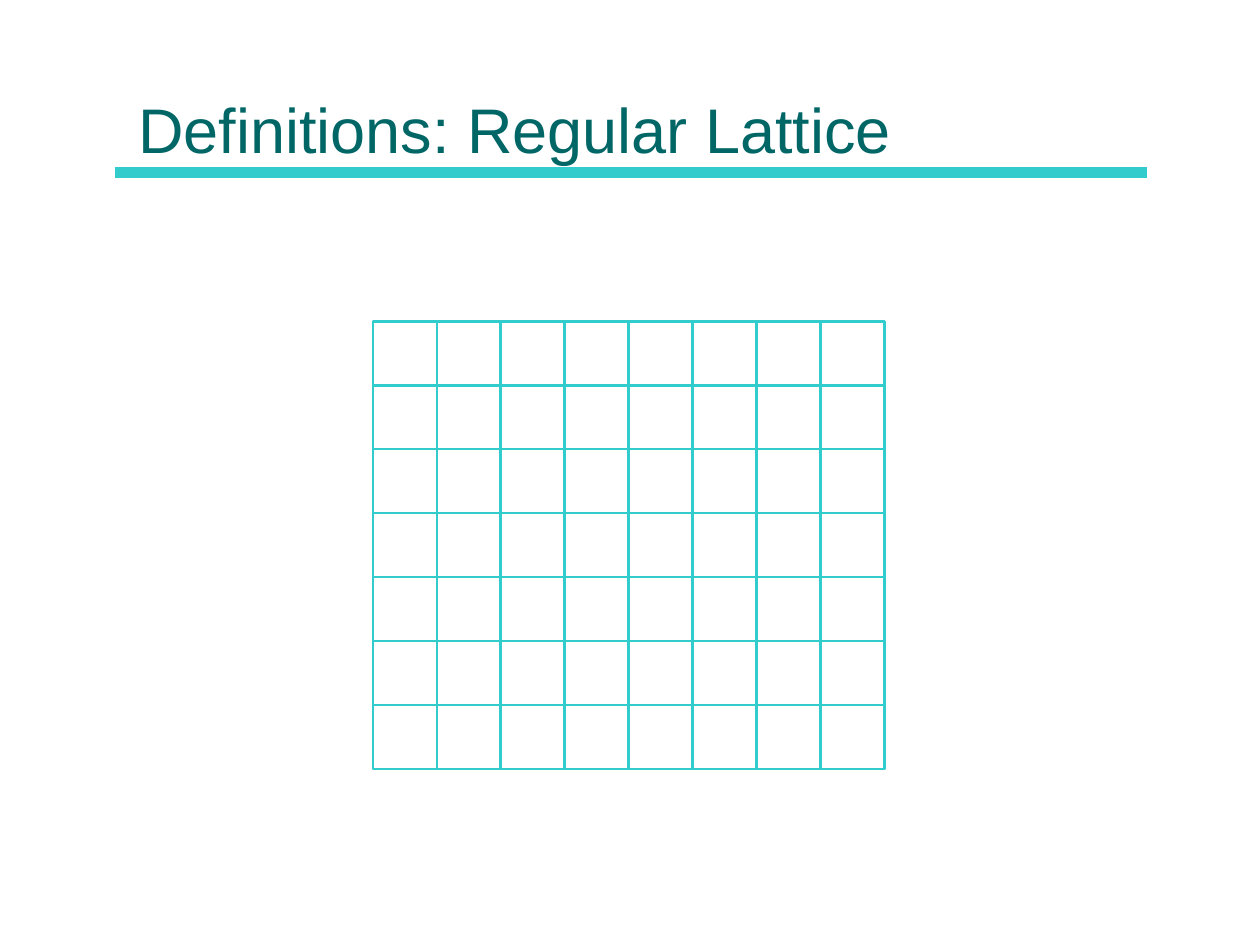
"""Build the slide that shows a regular lattice under its title."""
import itertools

import pptx
import pptx.dml.color
import pptx.enum.shapes
import pptx.enum.text
import pptx.oxml.ns
import pptx.util
from lxml import etree

TITLE = "Definitions: Regular Lattice"
FONT = "Arial"
COLORS = {"title": "006666", "lattice": "33CCCC", "background": "FFFFFF"}
WIDTH, HEIGHT = 10, 7.5
COLUMNS, ROWS = 8, 7
LATTICE_LEFT, LATTICE_TOP, LATTICE_WIDTH = 2.96, 2.55, 4.06
RULE_LEFT, RULE_RIGHT, RULE_TOP = 0.91, 9.1, 1.37
TITLE_BOX = (WIDTH * 0.1, 0.12, WIDTH * 0.8, 1.25)


def inches(*lengths):
    return [pptx.util.Inches(length) for length in lengths]


def color(part):
    return pptx.dml.color.RGBColor.from_string(COLORS[part])


def set_line(shape, points):
    shape.line.color.rgb = color("lattice")
    shape.line.width = pptx.util.Pt(points)


def add_rule(slide):
    rule = slide.shapes.add_connector(
        pptx.enum.shapes.MSO_CONNECTOR.STRAIGHT,
        *inches(RULE_LEFT, RULE_TOP, RULE_RIGHT, RULE_TOP))
    set_line(rule, 6)
    etree.SubElement(rule._element.spPr, pptx.oxml.ns.qn("a:effectLst"))


def add_title(slide):
    frame = slide.shapes.add_textbox(*inches(*TITLE_BOX)).text_frame
    frame.word_wrap = True
    frame.vertical_anchor = pptx.enum.text.MSO_ANCHOR.BOTTOM
    frame.text = TITLE
    font = frame.paragraphs[0].runs[0].font
    font.name, font.size = FONT, pptx.util.Pt(36)
    font.color.rgb = color("title")


def add_lattice(slide):
    lattice = slide.shapes.add_group_shape()
    side = LATTICE_WIDTH / COLUMNS
    for row, column in itertools.product(range(ROWS), range(COLUMNS)):
        cell = lattice.shapes.add_shape(
            pptx.enum.shapes.MSO_SHAPE.RECTANGLE,
            *inches(LATTICE_LEFT + column * side, LATTICE_TOP + row * side, side, side))
        cell.shadow.inherit = False
        cell.fill.background()
        set_line(cell, 1.5)


def main():
    deck = pptx.Presentation()
    deck.slide_width, deck.slide_height = inches(WIDTH, HEIGHT)
    slide = deck.slides.add_slide(deck.slide_layouts[6])
    slide.background.fill.solid()
    slide.background.fill.fore_color.rgb = color("background")
    add_rule(slide)
    add_title(slide)
    add_lattice(slide)
    deck.save("out.pptx")


if __name__ == "__main__":
    main()
